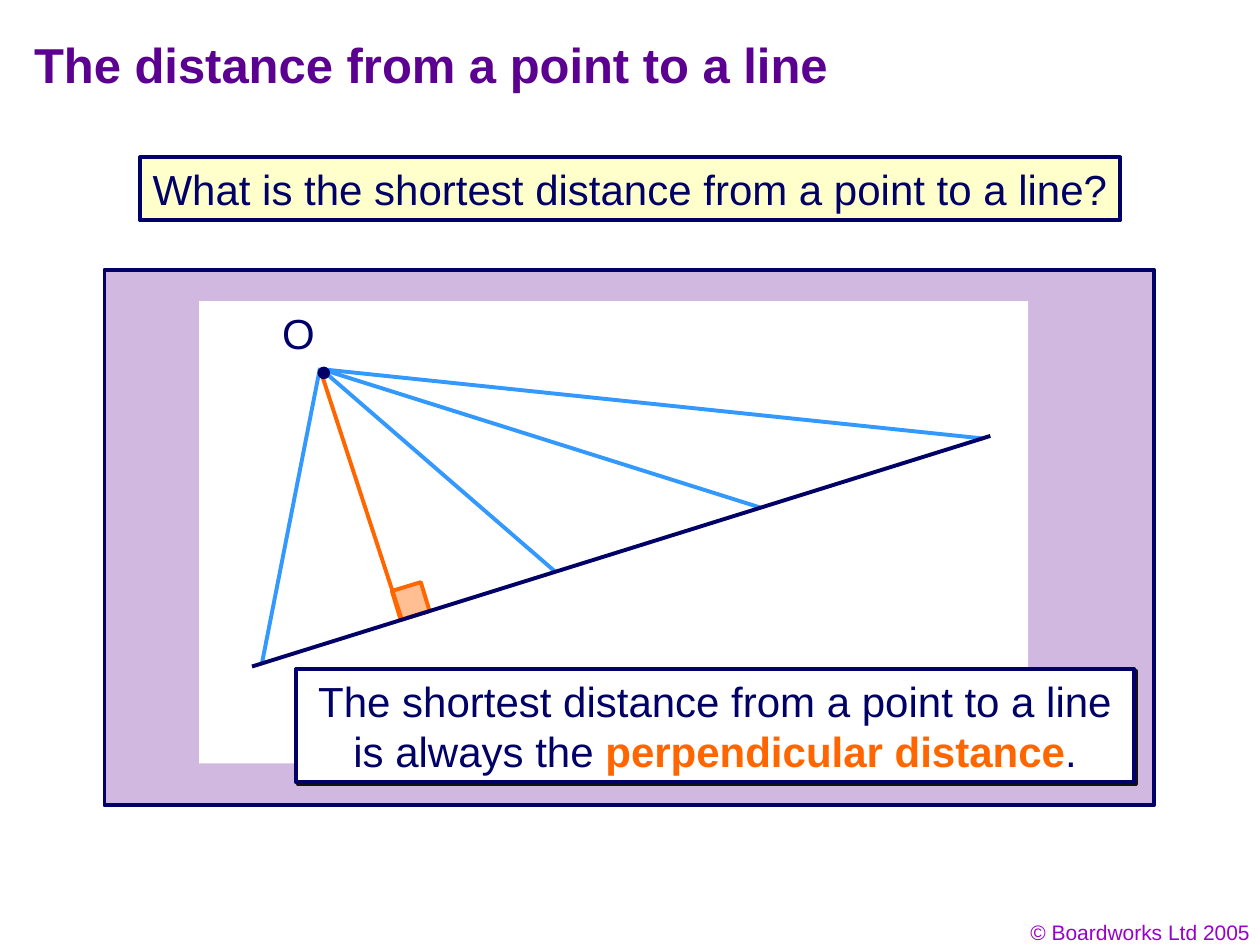
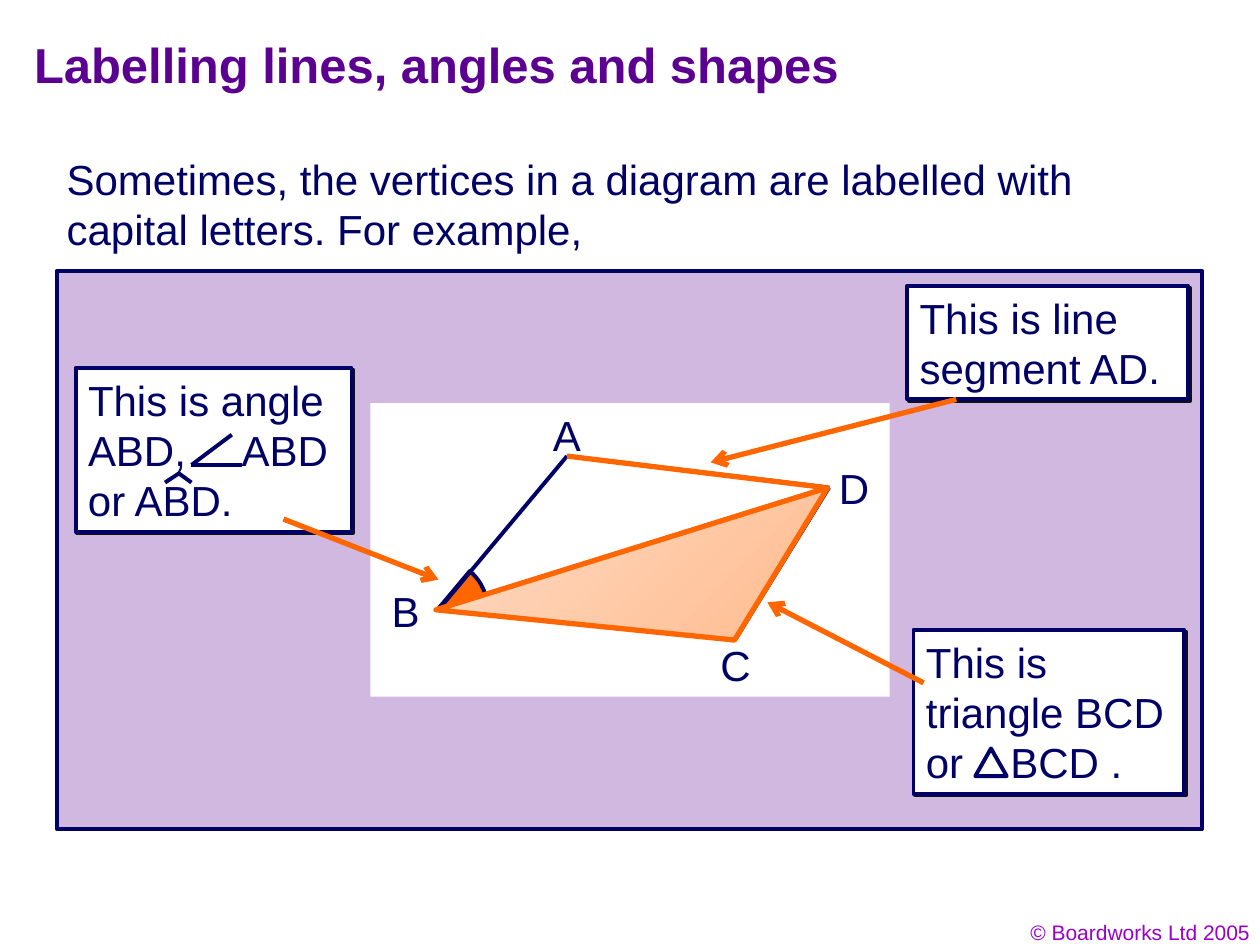
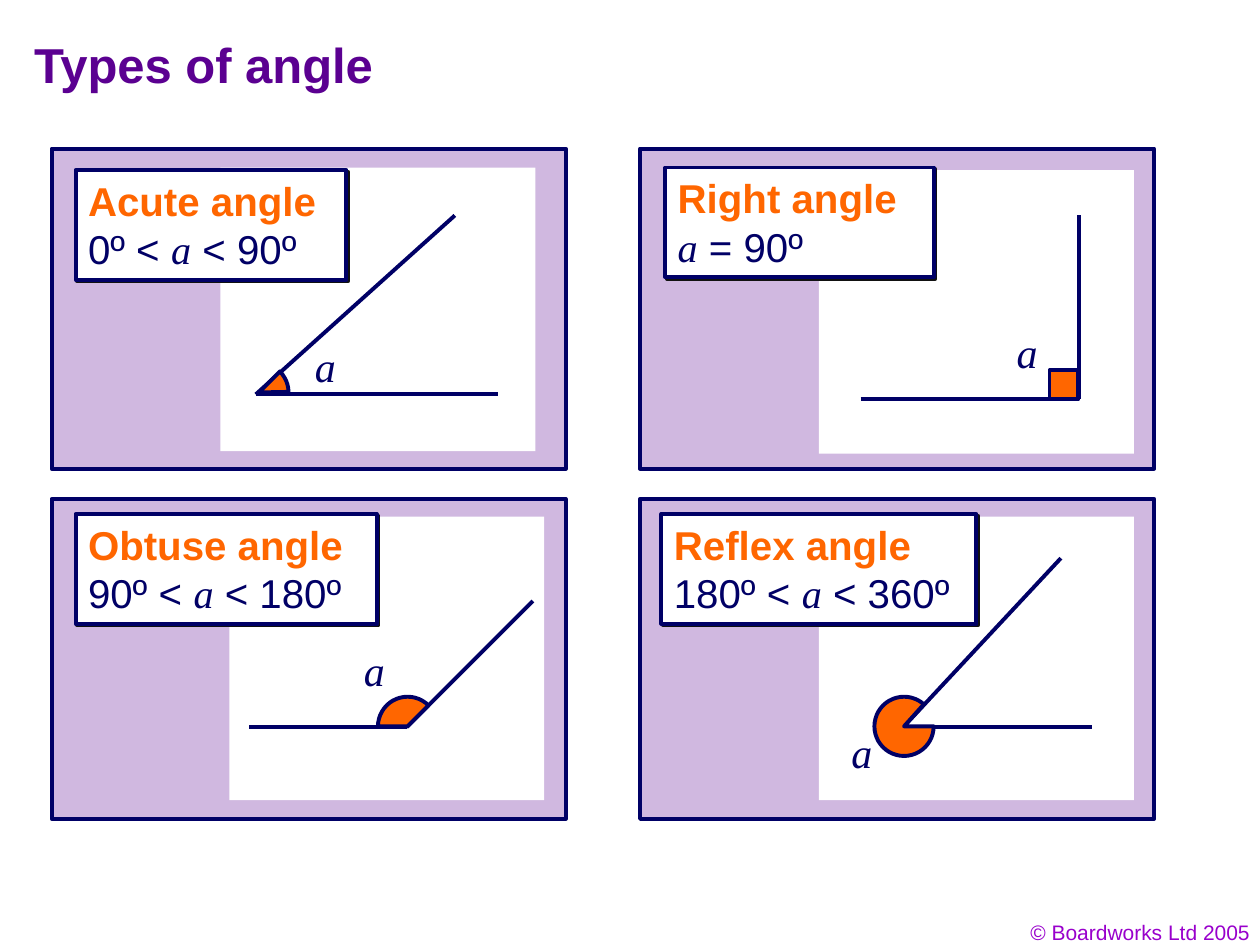
from dataclasses import dataclass
from typing import NamedTuple, Optional

from lxml.etree import SubElement
from pptx import Presentation
from pptx.dml.color import RGBColor
from pptx.enum.shapes import MSO_CONNECTOR, MSO_SHAPE
from pptx.enum.text import MSO_ANCHOR, MSO_AUTO_SIZE, PP_ALIGN
from pptx.oxml.ns import qn
from pptx.util import Inches, Pt

# Shared style
NAVY = RGBColor(0x00, 0x00, 0x66)
INK = RGBColor(0x01, 0x00, 0x66)
PURPLE = RGBColor(0x5B, 0x00, 0x91)
VIOLET = RGBColor(0x99, 0x00, 0xCC)
LILAC = RGBColor(0xD0, 0xB8, 0xE0)
CREAM = RGBColor(0xFF, 0xFF, 0xCC)
WHITE = RGBColor(0xFF, 0xFF, 0xFF)
BLUE = RGBColor(0x33, 0x99, 0xFF)
ORANGE = RGBColor(0xFF, 0x66, 0x00)
PEACH = RGBColor(0xFF, 0xBF, 0x93)
GRADIENT = (RGBColor(0xFF, 0xBC, 0x8F), RGBColor(0xFE, 0xDB, 0xC4))
SANS, SERIF = "Arial", "Times New Roman"
THIN, THICK = 2.25, 3
LABEL_HEIGHT = 0.5


class Point(NamedTuple):
    x: float
    y: float


class Box(NamedTuple):
    left: float
    top: float
    width: float
    height: float

    def lengths(self) -> list:
        return [Inches(value) for value in self]


class Span(NamedTuple):
    text: str
    color: Optional[RGBColor] = None
    font: Optional[str] = None
    bold: Optional[bool] = None
    italic: Optional[bool] = None


class Sector(NamedTuple):
    box: Box
    start: float
    end: float


VARIABLE = Span("a", font=SERIF, italic=True)


# Text
def style_font(font, size=None, color=None, name=None, bold=None, italic=None) -> None:
    if size:
        font.size = Pt(size)
    if color is not None:
        font.color.rgb = color
    if name:
        font.name = name
    if bold is not None:
        font.bold = bold
    if italic is not None:
        font.italic = italic


def write(frame, paragraphs, size=24, color=INK, align=PP_ALIGN.LEFT, bold=None,
          wrap=True, anchor=MSO_ANCHOR.TOP, tab=None) -> None:
    """Fill a frame; each paragraph is a list of spans."""
    frame.word_wrap = wrap
    frame.auto_size = MSO_AUTO_SIZE.NONE
    frame.vertical_anchor = anchor
    for index, spans in enumerate(paragraphs):
        para = frame.paragraphs[0] if index == 0 else frame.add_paragraph()
        para.alignment = align
        if tab:
            stops = SubElement(para._p.get_or_add_pPr(), qn("a:tabLst"))
            SubElement(stops, qn("a:tab"), pos=str(Inches(tab)), algn="l")
        style_font(para.font, size, color, SANS, bold)
        for span in spans:
            run = para.add_run()
            run.text = span.text
            style_font(run.font, None, span.color, span.font, span.bold, span.italic)


def add_text(page, box: Box, *spans: Span, **style) -> None:
    write(page.shapes.add_textbox(*box.lengths()).text_frame, [spans], **style)


def add_label(page, left: float, top: float, width: float, span: Span) -> None:
    add_text(page, Box(left, top, width, LABEL_HEIGHT), span, wrap=False)


# Shapes
def paint(shape, fill=None, line=None, width=THIN) -> None:
    shape.shadow.inherit = False
    if fill is None:
        shape.fill.background()
    else:
        shape.fill.solid()
        shape.fill.fore_color.rgb = fill
    if line is None:
        shape.line.fill.background()
    else:
        shape.line.color.rgb = line
        shape.line.width = Pt(width)


def add_figure(page, box: Box, fill=None, line=None, kind=MSO_SHAPE.RECTANGLE):
    shape = page.shapes.add_shape(kind, *box.lengths())
    paint(shape, fill, line)
    return shape


def add_callout(page, box: Box, *paragraphs, **style) -> None:
    """White framed box with a hard shadow."""
    shape = add_figure(page, box, WHITE, NAVY)
    effects = shape._element.spPr.find(qn("a:effectLst"))
    shadow = SubElement(effects, qn("a:outerShdw"), blurRad="0", dist=str(Pt(1.4)),
                        dir="2700000", algn="ctr", rotWithShape="0")
    SubElement(shadow, qn("a:srgbClr"), val="111111")
    write(shape.text_frame, paragraphs, **style)


def add_sector(page, sector: Sector) -> None:
    pie = add_figure(page, sector.box, ORANGE, NAVY, MSO_SHAPE.PIE)
    for index, degrees in enumerate((sector.start, sector.end)):
        pie.adjustments[index] = degrees * 0.6


def add_line(page, start: Point, end: Point, color=NAVY, width=THIN, arrow=False) -> None:
    line = page.shapes.add_connector(
        MSO_CONNECTOR.STRAIGHT, *[Inches(value) for value in (*start, *end)])
    line.line.color.rgb = color
    line.line.width = Pt(width)
    if arrow:
        SubElement(line.line._get_or_add_ln(), qn("a:tailEnd"), type="arrow")
    SubElement(line._element.spPr, qn("a:effectLst"))


def add_page(deck, title: str):
    """Page with the shared title and footer."""
    page = deck.slides.add_slide(deck.slide_layouts[5])
    heading = page.shapes.title
    heading.left, heading.top, heading.width, heading.height = Box(0.17, 0.17, 8.5, 0.67).lengths()
    write(heading.text_frame, [[Span(title)]], 28, PURPLE, bold=True, anchor=MSO_ANCHOR.MIDDLE)
    add_text(page, Box(7.69, 7.25, 2.33, 0.3), Span("© Boardworks Ltd 2005"),
             size=12, color=VIOLET, align=PP_ALIGN.RIGHT)
    return page


# Slide 1
def build_distance(deck) -> None:
    page = add_page(deck, "The distance from a point to a line")
    add_figure(page, Box(0.83, 2.14, 8.33, 4.25), LILAC, NAVY)
    add_figure(page, Box(1.58, 2.39, 6.58, 3.67), WHITE)
    question = add_figure(page, Box(1.11, 1.25, 7.78, 0.5), CREAM, NAVY)
    write(question.text_frame, [[Span("What is the shortest distance from a point to a line?")]],
          align=PP_ALIGN.CENTER, wrap=False)
    add_label(page, 2.14, 2.39, 0.46, Span("O"))

    origin, foot = Point(2.55, 2.93), Point(3.19, 4.92)
    add_line(page, Point(2.54, 2.92), Point(2.08, 5.26), BLUE)
    for end in (Point(4.41, 4.54), Point(6.04, 4.03), Point(7.8, 3.48)):
        add_line(page, origin, end, BLUE)
    add_callout(page, Box(2.35, 5.31, 6.65, 0.9),
                [Span("The shortest distance from a point to a line is always the "),
                 Span("perpendicular distance", ORANGE, bold=True), Span(".")],
                align=PP_ALIGN.CENTER)
    right_angle = add_figure(page, Box(3.14, 4.65, 0.24, 0.24), PEACH, ORANGE)
    right_angle.rotation = 343.1
    add_line(page, Point(2.54, 2.93), foot, ORANGE)
    add_line(page, Point(2, 5.29), Point(7.86, 3.46))
    add_figure(page, Box(2.52, 2.91, 0.1, 0.1), NAVY, kind=MSO_SHAPE.OVAL)


# Slide 2
def build_labelling(deck) -> None:
    page = add_page(deck, "Labelling lines, angles and shapes")
    add_figure(page, Box(0.45, 2.15, 9.09, 4.43), LILAC, NAVY)
    add_figure(page, Box(2.94, 3.2, 4.12, 2.33), WHITE)
    add_text(page, Box(0.43, 1.17, 8.25, 0.9),
             Span("Sometimes, the vertices in a diagram are labelled with "
                  "capital letters. For example,"), color=NAVY)

    # Quadrilateral ABCD with diagonal BD
    a, b, c, d = Point(4.5, 3.62), Point(3.48, 4.84), Point(5.84, 5.07), Point(6.58, 3.87)
    add_sector(page, Sector(Box(3.08, 4.44, 0.79, 0.79), 310, 343))
    for start, end in ((b, a), (b, c), (a, d), (c, d), (b, d)):
        add_line(page, start, end)
    for letter, left, top, width in (("A", 4.29, 3.2, 0.42), ("B", 3.01, 4.6, 0.42),
                                     ("C", 5.62, 5.03, 0.44), ("D", 6.56, 3.62, 0.44)):
        add_label(page, left, top, width, Span(letter))

    # Angle callout with its drawn symbols
    add_callout(page, Box(0.6, 2.92, 2.19, 1.3), [Span("This is angle ABD,\tABD")], tab=1.22)
    add_label(page, 0.6, 3.72, 1.36, Span("or ABD."))
    for start, end in ((Point(1.92, 3.69), Point(1.52, 3.69)),
                       (Point(1.52, 3.69), Point(1.84, 3.45)),
                       (Point(1.31, 3.83), Point(1.43, 3.75)),
                       (Point(1.52, 3.83), Point(1.41, 3.75))):
        add_line(page, start, end)
    add_line(page, Point(2.25, 4.12), Point(3.48, 4.6), ORANGE, THICK, arrow=True)

    # Line segment callout
    add_callout(page, Box(7.2, 2.27, 2.23, 0.9), [Span("This is line segment AD.")])
    add_line(page, a, Point(6.55, 3.87), ORANGE, THICK)
    add_line(page, Point(7.59, 3.17), Point(5.64, 3.67), ORANGE, THICK, arrow=True)

    # Triangle callout
    add_callout(page, Box(7.25, 5, 2.15, 1.3), [Span("This is triangle BCD or\tBCD .")], tab=0.67)
    add_figure(page, Box(7.74, 5.94, 0.25, 0.22), line=NAVY, kind=MSO_SHAPE.ISOSCELES_TRIANGLE)
    corners = [(Inches(x), Inches(y)) for x, y in ((6.57, 3.87), (3.46, 4.84), (5.83, 5.08))]
    outline = page.shapes.build_freeform(*corners[0])
    outline.add_line_segments(corners[1:], close=True)
    triangle = outline.convert_to_shape()
    paint(triangle, PEACH, ORANGE, THICK)
    triangle.fill.gradient()
    triangle.fill.gradient_angle = 135
    for stop, color in zip(triangle.fill.gradient_stops, GRADIENT):
        stop.color.rgb = color
    add_line(page, Point(7.33, 5.42), Point(6.09, 4.78), ORANGE, THICK, arrow=True)


# Slide 3
@dataclass
class AngleCard:
    name: str
    values: list[Span]
    column: int
    row: int
    screen: Point
    caption: Box
    arms: tuple[Point, Point, Point]
    label: Point
    sector: Optional[Sector] = None
    square: Optional[Box] = None


ANGLE_CARDS = [
    AngleCard("Acute angle", [Span("0º < "), VARIABLE, Span(" < 90º")], 0, 0,
              Point(1.75, 1.33), Box(0.6, 1.35, 2.15, 0.87),
              (Point(3.61, 1.71), Point(2.03, 3.13), Point(3.95, 3.13)), Point(2.4, 2.65),
              sector=Sector(Box(1.82, 2.88, 0.47, 0.47), 315, 359)),
    AngleCard("Right angle", [VARIABLE, Span(" = 90º")], 1, 0,
              Point(6.5, 1.35), Box(5.28, 1.33, 2.13, 0.87),
              (Point(6.83, 3.17), Point(8.56, 3.17), Point(8.56, 1.71)), Point(7.97, 2.54),
              square=Box(8.33, 2.94, 0.23, 0.23)),
    AngleCard("Obtuse angle", [Span("90º < "), VARIABLE, Span(" < 180º")], 0, 1,
              Point(1.82, 4.1), Box(0.6, 4.08, 2.39, 0.87),
              (Point(4.23, 4.77), Point(3.23, 5.77), Point(1.98, 5.77)), Point(2.79, 5.07),
              sector=Sector(Box(3, 5.53, 0.47, 0.47), 180, 315)),
    AngleCard("Reflex angle", [Span("180º < "), VARIABLE, Span(" < 360º")], 1, 1,
              Point(6.5, 4.1), Box(5.25, 4.08, 2.5, 0.87),
              (Point(8.42, 4.43), Point(7.17, 5.77), Point(8.67, 5.77)), Point(6.66, 5.72),
              sector=Sector(Box(6.94, 5.53, 0.47, 0.47), 0, 312)),
]


def add_angle_card(page, card: AngleCard) -> None:
    panel = Box(0.41 + 4.67 * card.column, 1.18 + 2.78 * card.row, 4.08, 2.54)
    add_figure(page, panel, LILAC, NAVY)
    add_figure(page, Box(*card.screen, 2.5, 2.25), WHITE)
    first, vertex, second = card.arms
    add_line(page, first, vertex)
    add_line(page, vertex, second)
    if card.sector:
        add_sector(page, card.sector)
    if card.square:
        add_figure(page, card.square, ORANGE, NAVY)
    add_callout(page, card.caption, [Span(card.name, ORANGE, bold=True)], card.values, size=23)
    add_label(page, *card.label, 0.36, VARIABLE)


def build_angle_types(deck) -> None:
    page = add_page(deck, "Types of angle")
    for card in ANGLE_CARDS:
        add_angle_card(page, card)


def main() -> None:
    deck = Presentation()
    deck.slide_width, deck.slide_height = Inches(10), Inches(7.5)
    build_distance(deck)
    build_labelling(deck)
    build_angle_types(deck)
    deck.save("out.pptx")


if __name__ == "__main__":
    main()
